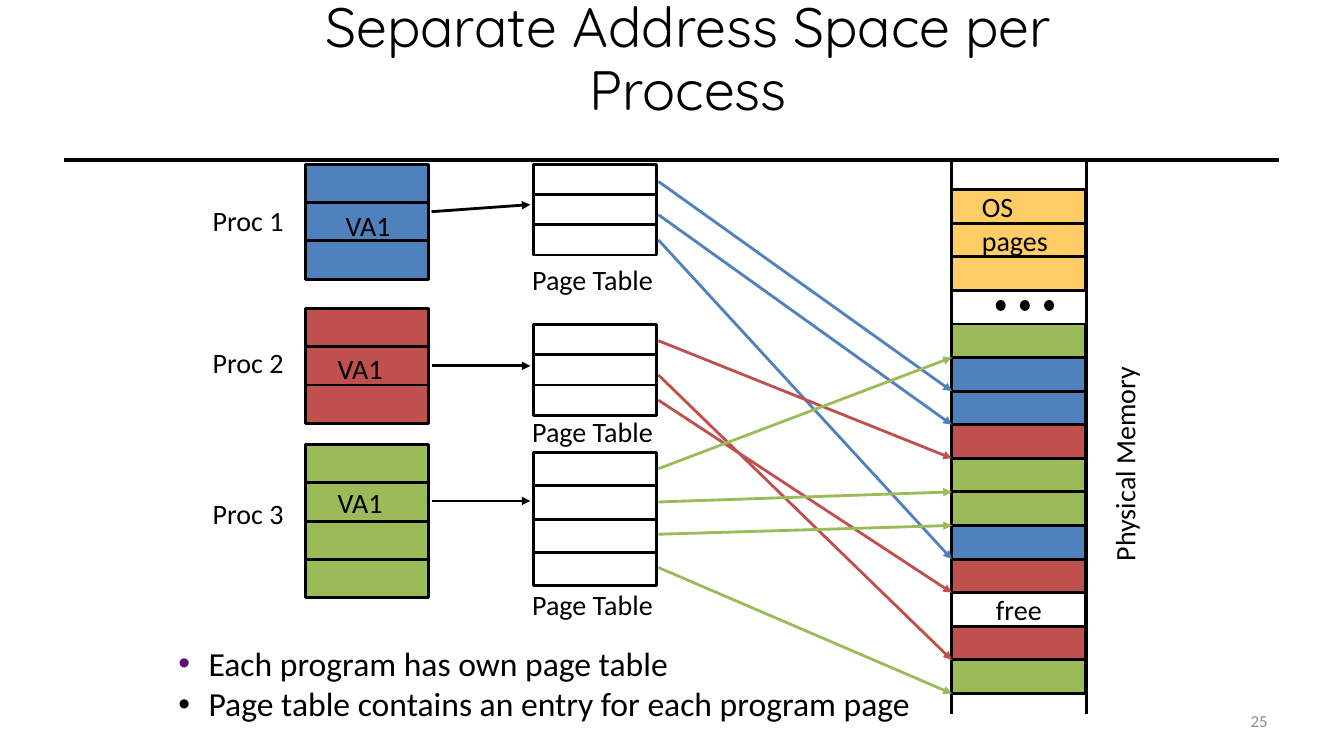
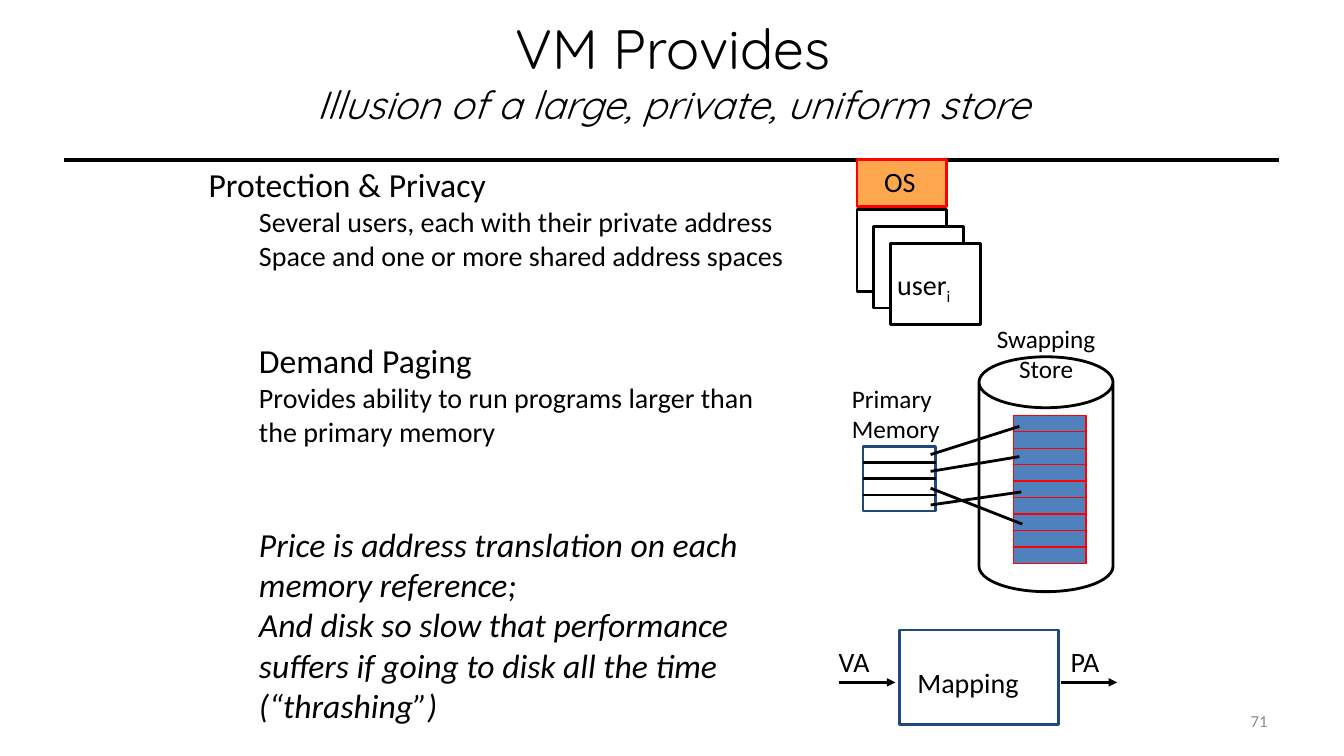
from lxml import etree
from pptx import Presentation
from pptx.dml.color import RGBColor
from pptx.enum.shapes import MSO_CONNECTOR, MSO_SHAPE
from pptx.enum.text import MSO_ANCHOR, MSO_AUTO_SIZE, PP_ALIGN
from pptx.oxml.ns import qn
from pptx.util import Inches, Pt

RECT, OVAL, CAN = MSO_SHAPE.RECTANGLE, MSO_SHAPE.OVAL, MSO_SHAPE.CAN
LEFT, MID, RIGHT = PP_ALIGN.LEFT, PP_ALIGN.CENTER, PP_ALIGN.RIGHT

BLACK = RGBColor(0x00, 0x00, 0x00)
WHITE = RGBColor(0xFF, 0xFF, 0xFF)
GREY = RGBColor(0x8C, 0x8C, 0x8C)
BLUE = RGBColor(0x4F, 0x81, 0xBD)
RED = RGBColor(0xC0, 0x50, 0x4D)
GREEN = RGBColor(0x9B, 0xBB, 0x59)
GOLD = RGBColor(0xFF, 0xCC, 0x66)
AMBER = RGBColor(0xFF, 0xA7, 0x4F)
BRIGHT = RGBColor(0xFF, 0x00, 0x00)
NAVY = RGBColor(0x1F, 0x49, 0x7D)
HEAD, BODY = "Quicksand", "Calibri"


def line(slide, x1, y1, x2, y2, color=BLACK, width=2, arrow=False):
    link = slide.shapes.add_connector(
        MSO_CONNECTOR.STRAIGHT, Inches(x1), Inches(y1), Inches(x2), Inches(y2))
    link.line.color.rgb = color
    link.line.width = Pt(width)
    if arrow:
        etree.SubElement(link.line._get_or_add_ln(), qn("a:tailEnd"), type="triangle")
    etree.SubElement(link._element.spPr, qn("a:effectLst"))


def box(slide, x, y, w, h, fill=WHITE, edge=BLACK, width=2, rows=1, rule=BLACK, kind=RECT):
    """Draw a shape, split by rules into equal rows."""
    shape = slide.shapes.add_shape(kind, Inches(x), Inches(y), Inches(w), Inches(h))
    shape.shadow.inherit = False
    if fill is None:
        shape.fill.background()
    else:
        shape.fill.solid()
        shape.fill.fore_color.rgb = fill
    shape.line.color.rgb = edge
    shape.line.width = Pt(width)
    for row in range(1, rows):
        level = y + row * h / rows
        line(slide, x, level, x + w, level, rule, width)
    return shape


deck = Presentation()
deck.slide_width, deck.slide_height = Inches(13.33), Inches(7.5)

# Shared frame: rule, title and slide number
frames = [
    ((2.54, 0.19, 8.57, 0.81), 0.95, "25",
     [("Separate Address Space per Process", 39.6, False)]),
    ((2.33, 0.11, 8.69, 1.19), 1.0, "71",
     [("VM Provides", 39.6, False),
      ("Illusion of a large, private, uniform store", 28, True)]),
]
for spot, space, number, lines in frames:
    slide = deck.slides.add_slide(deck.slide_layouts[5])
    line(slide, 0.63, 1.59, 12.69, 1.59, width=3)
    title = slide.shapes.title
    title.left, title.top, title.width, title.height = map(Inches, spot)
    frame = title.text_frame
    frame.auto_size = MSO_AUTO_SIZE.NONE
    frame.vertical_anchor = MSO_ANCHOR.MIDDLE
    frame.text = "\n".join(text for text, size, slant in lines)
    for para, (text, size, slant) in zip(frame.paragraphs, lines):
        para.alignment = MID
        para.line_spacing = space
        para.font.name, para.font.size = HEAD, Pt(size)
        para.font.italic = slant
        para.font.color.rgb = BLACK
    note = slide.shapes.add_textbox(Inches(9.56), Inches(6.95), Inches(3.11), Inches(0.4))
    note.text_frame.vertical_anchor = MSO_ANCHOR.MIDDLE
    note.text_frame.word_wrap = True
    para = note.text_frame.paragraphs[0]
    para.text = number
    para.alignment = RIGHT
    para.font.name, para.font.size = BODY, Pt(12)
    para.font.color.rgb = GREY

space, store = deck.slides

# Slide 1: physical memory, None marks the skipped cell
MEM, TOP, CELL = 9.44, 1.88, 1 / 3
cells = [GOLD, GOLD, GOLD, None, GREEN, BLUE, BLUE, RED, GREEN, GREEN,
         BLUE, RED, WHITE, RED, GREEN]
for index, color in enumerate(cells):
    if color is None:
        continue
    cell = box(space, MEM, TOP + index * CELL, 1.33, CELL, color)
    if color == WHITE:
        cell.text_frame.vertical_anchor = MSO_ANCHOR.MIDDLE
        para = cell.text_frame.paragraphs[0]
        para.text = "free"
        para.alignment = MID
        para.font.name, para.font.size = BODY, Pt(20)
        para.font.color.rgb = BLACK
for x in (MEM, MEM + 1.34):
    line(space, x, 1.58, x, 7.08)
for index in range(3):
    box(space, 9.89 + index * 0.24, 2.99, 0.07, 0.08, BLACK, kind=OVAL)

# Slide 1: pages, page table and links of each process
# colour, rows, page top, table top, table row, arrow ends, (exit, memory edge)
procs = [
    (BLUE, 3, 1.63, 1.63, 0.3, (2.1, 2.03), [(1.8, 6), (2.13, 7), (2.38, 11)]),
    (RED, 3, 3.06, 3.22, 0.3, (3.63, 3.63), [(3.38, 8), (3.72, 14), (3.97, 12)]),
    (GREEN, 4, 4.41, 4.49, 0.33, (4.97, 4.97),
     [(4.65, 5), (4.98, 9), (5.3, 10), (5.63, 15)]),
]
for color, rows, page, table, row, ends, links in procs:
    box(space, 3.03, page, 1.22, rows * 0.38, color, rows=rows)
    box(space, 5.29, table, 1.22, rows * row, rows=rows)
    line(space, 4.28, ends[0], 5.26, ends[1], arrow=True)
    for start, edge in links:
        line(space, 6.53, start, MEM, TOP + edge * CELL, color, arrow=True)

# Slide 1: bullets
area = space.shapes.add_textbox(Inches(1.67), Inches(6.33), Inches(8.18), Inches(1.17))
frame = area.text_frame
frame.word_wrap = True
frame.text = ("Each program has own page table\n"
              "Page table contains an entry for each program page")
for para, tint in zip(frame.paragraphs, ("56127A", "000000")):
    props = para._p.get_or_add_pPr()
    props.set("marL", str(Inches(0.4)))
    props.set("indent", str(-Inches(0.3)))
    props.set("marL", str(Inches(0.3)))
    paint = etree.SubElement(props, qn("a:buClr"))
    etree.SubElement(paint, qn("a:srgbClr"), val=tint)
    etree.SubElement(props, qn("a:buFont"), typeface="Arial")
    etree.SubElement(props, qn("a:buChar"), char="•")
    para.font.name, para.font.size = BODY, Pt(24)
    para.font.color.rgb = BLACK

# Slide 2: body text with level, size, italic and space before
points = [
    ("Protection & Privacy", 0, 24, False, 0),
    ("Several users, each with their private address "
     "Space and one or more shared address spaces", 0.5, 20, False, 0),
    ("Demand Paging", 0.5, 24, False, 49),
    ("Provides ability to run programs larger than\vthe primary memory", 0.5, 20, False, 0),
    ("Price is address translation on each memory reference;", 0.5, 24, True, 54),
    ("And disk so slow that performance suffers if going to disk "
     "all the time (“thrashing”)", 0.5, 24, True, 0),
]
area = store.shapes.add_textbox(Inches(1.97), Inches(1.58), Inches(5.99), Inches(5.28))
frame = area.text_frame
frame.word_wrap = True
frame.text = "\n".join(point[0] for point in points)
for para, (text, indent, size, slant, gap) in zip(frame.paragraphs, points):
    para._p.get_or_add_pPr().set("marL", str(Inches(indent)))
    para.space_before = Pt(gap)
    para.font.name, para.font.size = BODY, Pt(size)
    para.font.italic = slant
    para.font.color.rgb = BLACK

# Slide 2: address spaces
box(store, 8.5, 1.58, 0.89, 0.47, AMBER, BRIGHT)
for index in range(3):
    box(store, 8.5 + index / 6, 2.08 + index / 6, 0.89, 0.81)

# Slide 2: primary memory and swapping store
can = box(store, 9.71, 3.54, 1.33, 2.33, None, kind=CAN)
can.adjustments[0] = 0.38
box(store, 8.56, 4.43, 0.72, 0.64, edge=NAVY, rows=4)
box(store, 10.05, 4.12, 0.72, 1.47, BLUE, BRIGHT, 1, rows=9, rule=BRIGHT)
ends = [(10.11, 4.23), (10.11, 4.53), (10.14, 5.2), (10.13, 4.88)]
for index, (x, y) in enumerate(ends):
    line(store, 9.23, 4.51 + index / 6, x, y)

# Slide 2: mapping
box(store, 8.92, 6.25, 1.58, 0.94, edge=NAVY)
for x in (8.32, 10.52):
    line(store, x, 6.77, x + 0.56, 6.77, arrow=True)

# Labels: slide, left, top, width, height, text, size, alignment, turn
labels = [
    (space, 9.64, 1.83, 0.86, 0.77, "OS\npages", 20, LEFT, 0),
    (space, 9.88, 4.18, 2.54, 0.43, "Physical Memory", 20, LEFT, 270),
    (store, 8.67, 1.58, 0.51, 0.43, "OS", 20, LEFT, 0),
    (store, 8.35, 3.75, 1.08, 0.7, "Primary\nMemory", 18, LEFT, 0),
    (store, 9.78, 3.16, 1.19, 0.7, "Swapping\nStore", 18, MID, 0),
    (store, 8.22, 6.34, 0.51, 0.43, "VA", 20, LEFT, 0),
    (store, 10.52, 6.34, 0.49, 0.43, "PA", 20, LEFT, 0),
    (store, 9, 6.55, 1.21, 0.43, "Mapping", 20, LEFT, 0),
    (store, 8.8, 2.6, 0.74, 0.43, "user", 20, LEFT, 0),
]
tags = [(1.97, 3.33, 2.02, 2.56), (3.38, 3.25, 3.44, 4.06), (4.88, 3.25, 4.77, 5.78)]
for index, (name, left, top, table) in enumerate(tags, 1):
    labels[:0] = [
        (space, 2.01, name, 0.91, 0.43, f"Proc {index}", 20, LEFT, 0),
        (space, left, top, 0.65, 0.43, "VA1", 20, LEFT, 0),
        (space, 5.18, table, 1.47, 0.43, "Page Table", 20, LEFT, 0),
    ]
for slide, x, y, w, h, text, size, align, turn in labels:
    label = slide.shapes.add_textbox(Inches(x), Inches(y), Inches(w), Inches(h))
    label.rotation = turn
    label.text_frame.word_wrap = turn != 0
    label.text_frame.text = text
    for para in label.text_frame.paragraphs:
        para.alignment = align
        para.font.name, para.font.size = BODY, Pt(size)
        para.font.color.rgb = BLACK
    if text == "user":
        sub = label.text_frame.paragraphs[0].add_run()
        sub.text = "i"
        sub._r.get_or_add_rPr().set("baseline", "-25000")

deck.save("out.pptx")
